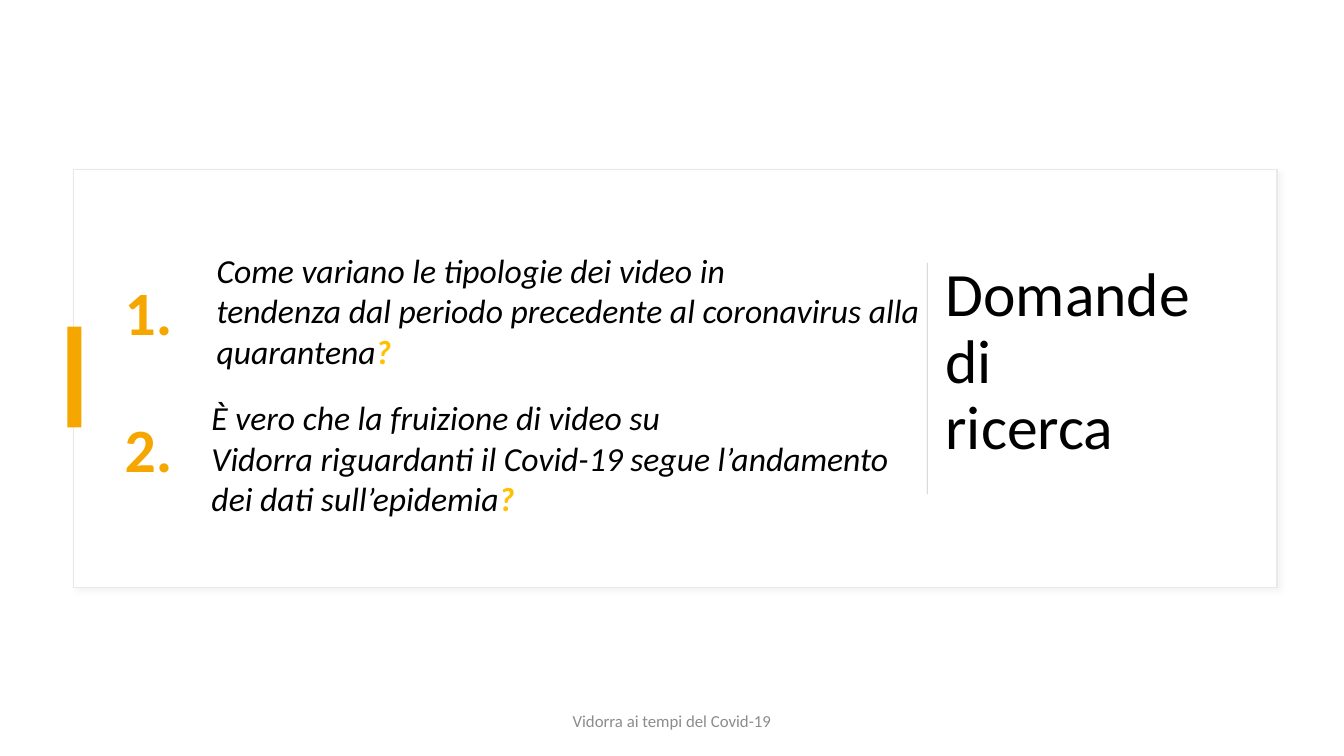
from lxml.etree import SubElement
from pptx import Presentation
from pptx.dml.color import RGBColor
from pptx.enum.shapes import MSO_SHAPE
from pptx.enum.text import MSO_ANCHOR, MSO_AUTO_SIZE, PP_ALIGN
from pptx.oxml.ns import qn
from pptx.util import Pt

ORANGE = "F5A700"
YELLOW = "FFC000"
BLACK = "000000"
WHITE = "FFFFFF"


def add_block(left, top, width, height, color):
    block = page.shapes.add_shape(
        MSO_SHAPE.RECTANGLE, Pt(left), Pt(top), Pt(width), Pt(height))
    block.shadow.inherit = False
    block.fill.solid()
    block.fill.fore_color.rgb = RGBColor.from_string(color)
    block.line.fill.background()
    return block


def add_span(para, text, size, color, bold=False, italic=False):
    span = para.add_run()
    span.text = text
    span.font.name = "Calibri"
    span.font.size = Pt(size)
    span.font.bold = bold
    span.font.italic = italic
    span.font.color.rgb = RGBColor.from_string(color)


deck = Presentation()
deck.slide_width, deck.slide_height = Pt(960), Pt(540)
page = deck.slides.add_slide(deck.slide_layouts[5])

# Backdrop and card with a soft shadow
add_block(0, 0, 960, 540, WHITE)
card = add_block(52.6, 121, 859.7, 298.8, WHITE)
card.line.color.rgb = RGBColor.from_string("E9E9E9")
card.line.width = Pt(1)
effects = card._element.spPr.find(qn("a:effectLst"))
shadow = SubElement(effects, qn("a:outerShdw"), blurRad=str(Pt(4)),
                    dist=str(Pt(3)), dir="2700000", algn="tl", rotWithShape="0")
shade = SubElement(shadow, qn("a:srgbClr"), val="D9D9D9")
SubElement(shade, qn("a:alpha"), val="30000")

# Title, brought in front of the card
title = page.shapes.title
card._element.addnext(title._element)
title.left, title.top, title.width, title.height = Pt(668.2), Pt(175), Pt(247), Pt(235.4)
frame = title.text_frame
frame.word_wrap = True
frame.auto_size = MSO_AUTO_SIZE.NONE
frame.vertical_anchor = MSO_ANCHOR.MIDDLE
frame.margin_bottom = Pt(70)
para = frame.paragraphs[0]
para.alignment = PP_ALIGN.LEFT
para.line_spacing = 0.9
for index, line in enumerate(["Domande", "di", "ricerca"]):
    if index:
        para.add_line_break()
    add_span(para, line, 44, BLACK)

# Accent bar and divider
add_block(48.2, 233.3, 10, 72, ORANGE)
add_block(662, 187.6, 0.72, 165.6, "C9C9C9")

# Numbered questions; "~" marks a non-breaking space
questions = [
    ("1.", 192.2, 147.6, 175,
     "Come variano le tipologie~dei video in tendenza~dal~periodo "
     "precedente al~coronavirus alla quarantena"),
    ("2.", 290.2, 144, 280.1,
     "È~vero che la fruizione di~video su Vidorra~riguardanti il "
     "Covid-19~segue l’andamento dei dati~sull’epidemia"),
]
for number, number_top, left, top, question in questions:
    number_box = page.shapes.add_textbox(Pt(82), Pt(number_top), Pt(65), Pt(60.5))
    question_box = page.shapes.add_textbox(Pt(left), Pt(top), Pt(518.4), Pt(94.3))
    for box in (number_box, question_box):
        box.text_frame.word_wrap = True
        box.text_frame.auto_size = MSO_AUTO_SIZE.SHAPE_TO_FIT_TEXT
    add_span(number_box.text_frame.paragraphs[0], number, 44, ORANGE, bold=True)
    para = question_box.text_frame.paragraphs[0]
    add_span(para, question.replace("~", chr(160)), 24, BLACK, italic=True)
    add_span(para, "?", 24, YELLOW, bold=True, italic=True)

# Footer
footer = page.shapes.add_textbox(Pt(318), Pt(500.5), Pt(324), Pt(28.8))
footer.text_frame.word_wrap = True
footer.text_frame.vertical_anchor = MSO_ANCHOR.MIDDLE
para = footer.text_frame.paragraphs[0]
para.alignment = PP_ALIGN.CENTER
add_span(para, "Vidorra ai tempi del Covid-19", 12, "8C8C8C")

deck.save("out.pptx")
